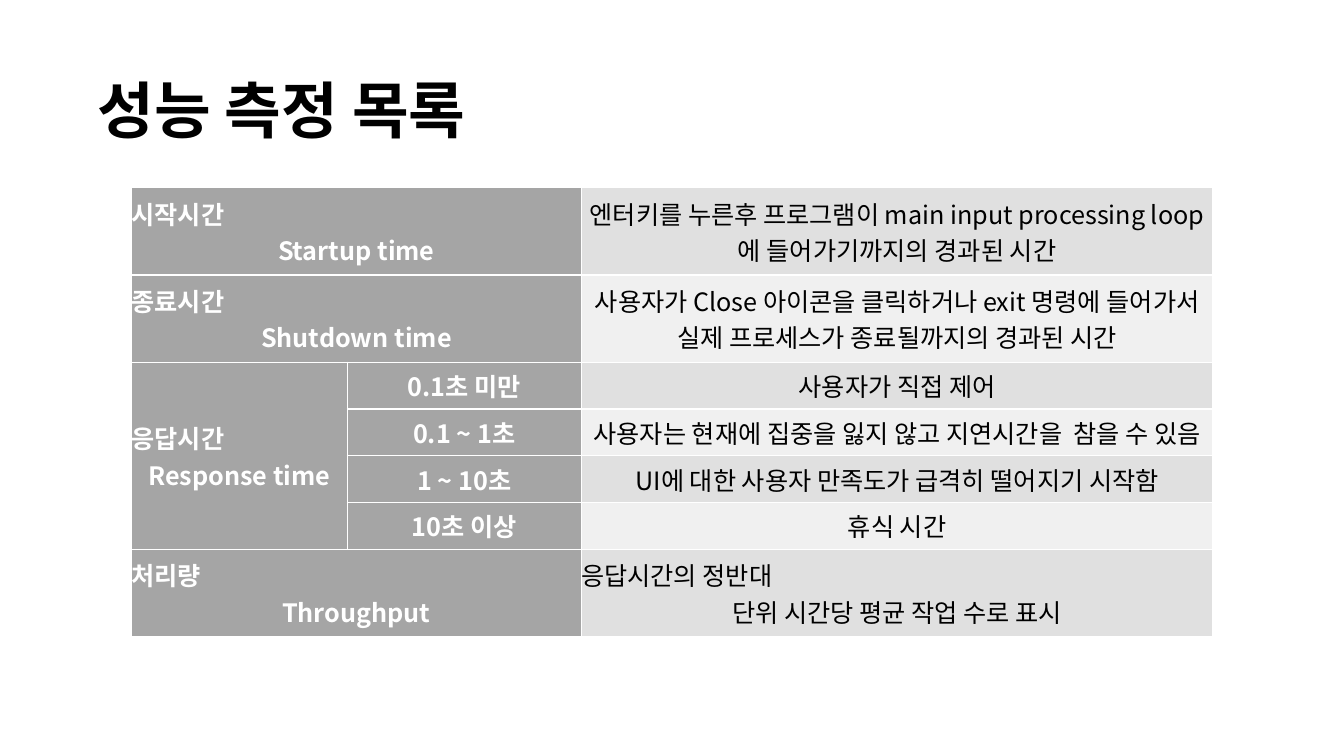
"""Build the slide that lists performance measures in a table."""
from dataclasses import dataclass

from lxml import etree
from pptx import Presentation
from pptx.dml.color import RGBColor
from pptx.enum import text as t
from pptx.oxml import ns
from pptx.util import Pt

FONT = "Noto Sans CJK KR"
COLORS = {
    "black": "000000",
    "white": "FFFFFF",
    "label": "A5A5A5",
    "dark_band": "E0E0E0",
    "light_band": "F0F0F0",
}
COLUMNS = (154.08, 167.04, 258.48, 192.96)
TALL, SHORT = 62.4, 33.4
LEFT, CENTER = t.PP_ALIGN.LEFT, t.PP_ALIGN.CENTER


@dataclass(frozen=True)
class Measure:
    label: str
    meaning: str
    height: float = TALL
    label_column: int = 0


MEASURES = (
    Measure("시작시간\nStartup time",
            "엔터키를 누른후 프로그램이 main input processing loop에 들어가기까지의 경과된 시간"),
    Measure("종료시간\nShutdown time",
            "사용자가 Close 아이콘을 클릭하거나 exit 명령에 들어가서 실제 프로세스가 종료될까지의 경과된 시간"),
    Measure("0.1초 미만", "사용자가 직접 제어", SHORT, 1),
    Measure("0.1 ~ 1초", "사용자는 현재에 집중을 잃지 않고 지연시간을  참을 수 있음", SHORT, 1),
    Measure("1 ~ 10초", "UI에 대한 사용자 만족도가 급격히 떨어지기 시작함", SHORT, 1),
    Measure("10초 이상", "휴식 시간", SHORT, 1),
    Measure("처리량\nThroughput", "응답시간의 정반대\n단위 시간당 평균 작업 수로 표시"),
)
RESPONSE_ROWS = [row for row, measure in enumerate(MEASURES) if measure.label_column]


def write(frame, content: str, *, size: float, color: str, bold: bool,
          last_align=CENTER, spacing: float = 1.0) -> None:
    """Write lines into a frame, aligning all but the last to the left."""
    lines = content.split("\n")
    for index, line in enumerate(lines):
        para = frame.paragraphs[0] if index == 0 else frame.add_paragraph()
        para.alignment = last_align if index == len(lines) - 1 else LEFT
        para.line_spacing = spacing
        span = para.add_run()
        span.text = line
        span.font.name = FONT
        span.font.size = Pt(size)
        span.font.bold = bold
        span.font.color.rgb = RGBColor.from_string(COLORS[color])
        east_asian = etree.SubElement(span.font._element, ns.qn("a:ea"))
        east_asian.set("typeface", FONT)


def add_borders(cell, color: str, width: float) -> None:
    """Draw the four borders of a cell."""
    properties = cell._tc.get_or_add_tcPr()
    for index, side in enumerate(("lnL", "lnR", "lnT", "lnB")):
        line = etree.Element(ns.qn(f"a:{side}"), w=str(Pt(width)))
        fill = etree.SubElement(line, ns.qn("a:solidFill"))
        etree.SubElement(fill, ns.qn("a:srgbClr"), val=COLORS[color])
        properties.insert(index, line)


def style_cell(cell, fill: str) -> None:
    """Set the fill, margins, anchor and borders of a cell."""
    cell.fill.solid()
    cell.fill.fore_color.rgb = RGBColor.from_string(COLORS[fill])
    cell.margin_left = cell.margin_right = cell.margin_top = cell.margin_bottom = 0
    cell.vertical_anchor = t.MSO_ANCHOR.MIDDLE
    add_borders(cell, "white", 1)


def add_title(page, content: str) -> None:
    """Add the slide title."""
    box = page.shapes.add_textbox(Pt(66), Pt(28.8), Pt(828), Pt(104.4))
    frame = box.text_frame
    frame.word_wrap = True
    frame.vertical_anchor = t.MSO_ANCHOR.MIDDLE
    frame.margin_left = frame.margin_right = Pt(3.6)
    frame.margin_top = frame.margin_bottom = Pt(3.6)
    write(frame, content, size=44, color="black", bold=True, last_align=LEFT, spacing=0.9)


def add_measures(page) -> None:
    """Add the table of measures."""
    height = sum(measure.height for measure in MEASURES)
    table = page.shapes.add_table(len(MEASURES), len(COLUMNS), Pt(94), Pt(134),
                                  Pt(sum(COLUMNS)), Pt(height)).table
    table.first_row = table.horz_banding = False
    for column, width in zip(table.columns, COLUMNS):
        column.width = Pt(width)
    for row, measure in enumerate(MEASURES):
        table.rows[row].height = Pt(measure.height)
        band = "light_band" if row % 2 else "dark_band"
        for column in range(len(COLUMNS)):
            style_cell(table.cell(row, column), "label" if column < 2 else band)
        if measure.label_column == 0:
            table.cell(row, 0).merge(table.cell(row, 1))
        table.cell(row, 2).merge(table.cell(row, 3))
        write(table.cell(row, measure.label_column).text_frame, measure.label,
              size=18, color="white", bold=True)
        write(table.cell(row, 2).text_frame, measure.meaning,
              size=18, color="black", bold=False)
    response = table.cell(RESPONSE_ROWS[0], 0)
    response.merge(table.cell(RESPONSE_ROWS[-1], 0))
    write(response.text_frame, "응답시간\nResponse time", size=18, color="white", bold=True)


def main() -> None:
    """Build and save the deck."""
    deck = Presentation()
    deck.slide_width, deck.slide_height = Pt(960), Pt(540)
    page = deck.slides.add_slide(deck.slide_layouts[6])
    add_title(page, "성능 측정 목록")
    add_measures(page)
    deck.save("out.pptx")


if __name__ == "__main__":
    main()
